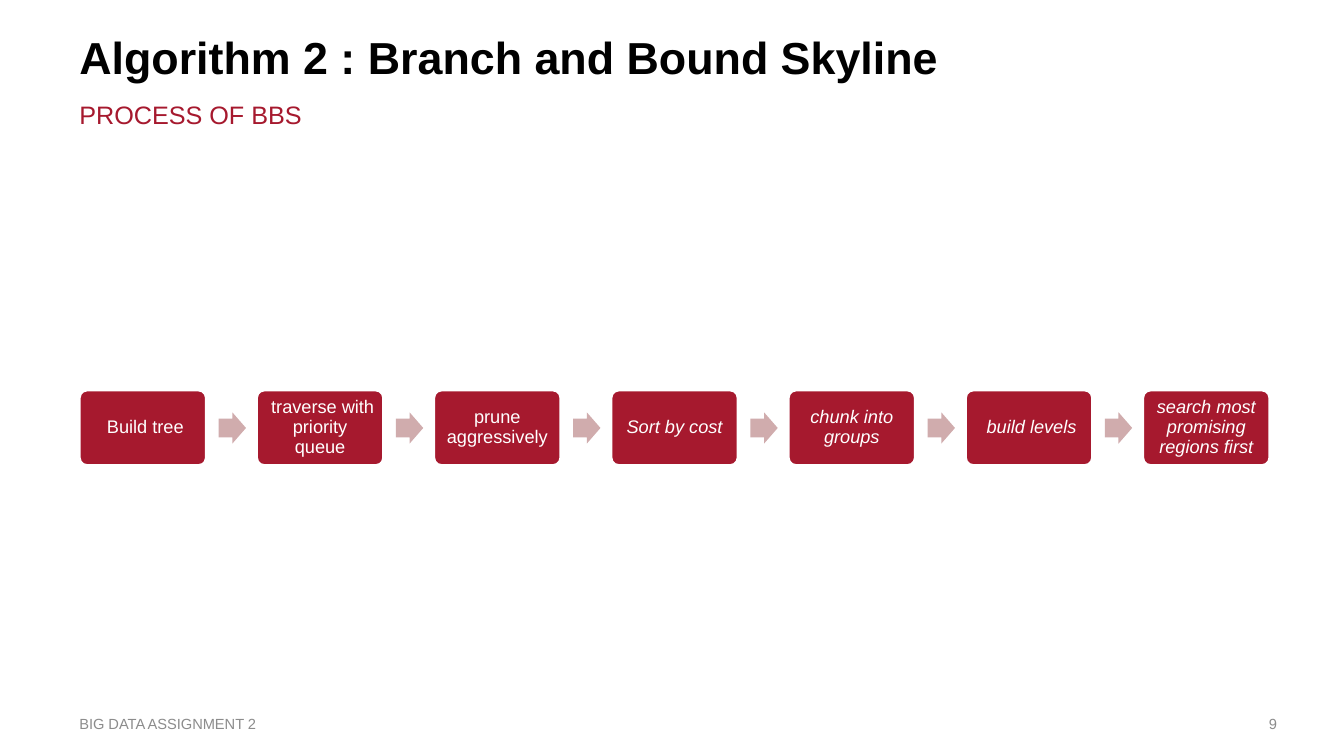
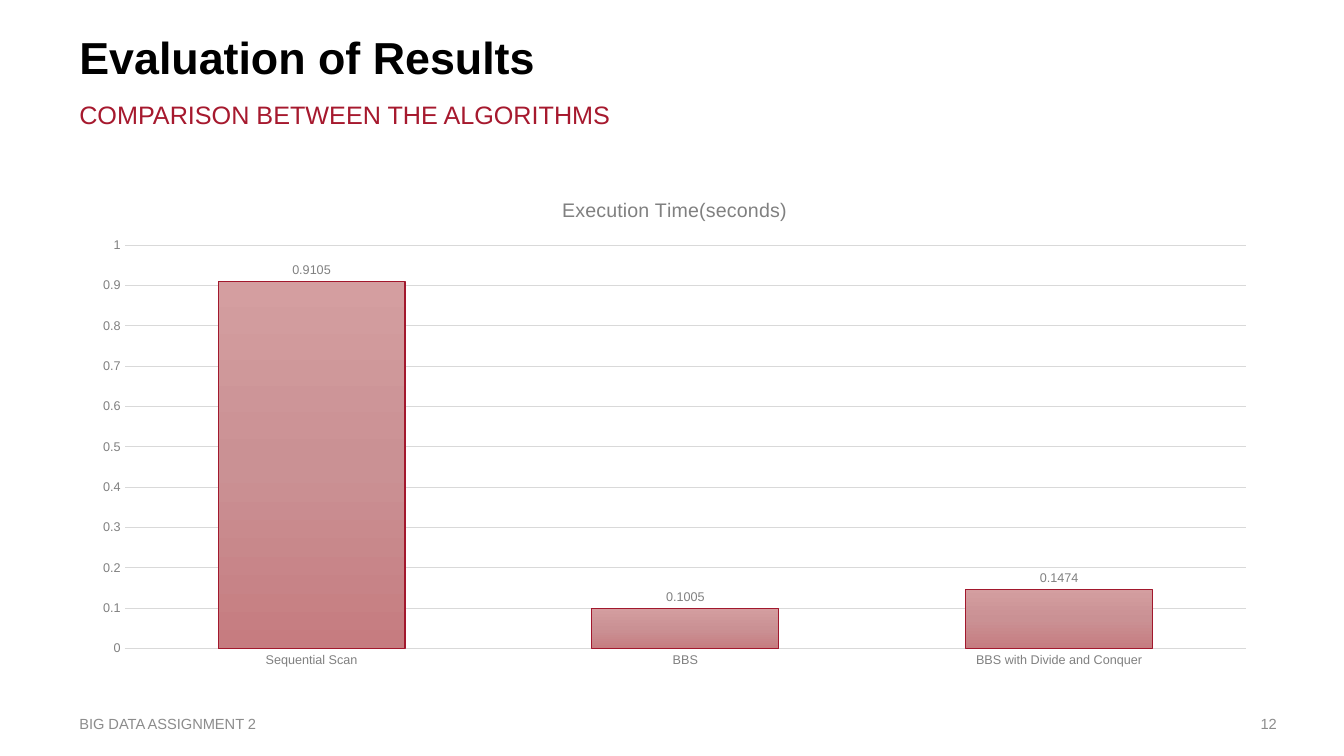
import copy
import pptx
import pptx.chart.data
import pptx.dml.color
import pptx.enum.chart
import pptx.enum.shapes
import pptx.enum.text
import pptx.util

Cm = pptx.util.Cm
Pt = pptx.util.Pt
ALIGN = pptx.enum.text.PP_ALIGN
ANCHOR = pptx.enum.text.MSO_ANCHOR
SHAPE = pptx.enum.shapes.MSO_SHAPE
CHART = pptx.enum.chart


def color(hex_value):
    return pptx.dml.color.RGBColor.from_string(hex_value)


def write(box, text, look, frame=None, paragraph=None):
    text_frame = box.text_frame
    text_frame.text = text
    margins = dict.fromkeys(["margin_left", "margin_top", "margin_right", "margin_bottom"], 0)
    base = {"word_wrap": True, "auto_size": pptx.enum.text.MSO_AUTO_SIZE.NONE, **margins}
    line = text_frame.paragraphs[0]
    font_values = {"name": "Arial", **look}
    line.font.color.rgb = color(font_values.pop("hex"))
    for target, values in (
        (text_frame, {**base, **(frame or {})}),
        (line, {"alignment": ALIGN.LEFT, **(paragraph or {})}),
        (line.font, font_values),
    ):
        for key, value in values.items():
            setattr(target, key, value)


CRIMSON, ROSE, WHITE, GRAY, GRID = "A6192E", "D0ACAD", "FFFFFF", "808080", "D9D9D9"
TITLE_LOOK = {"size": Pt(32), "bold": True, "hex": "000000"}
SUBTITLE_LOOK = {"size": Pt(18), "hex": CRIMSON}
FOOTER_LOOK = {"size": Pt(10.5), "hex": "8C8C8C"}
STEP_LOOK = {"size": Pt(13), "hex": WHITE}
MIDDLE = {"vertical_anchor": ANCHOR.MIDDLE}
LEFT = Cm(2)

deck = pptx.Presentation()
deck.slide_width = Cm(33.87)
deck.slide_height = Cm(19.05)

pages = []
for heading, subheading, number in (
    ("Algorithm 2 : Branch and Bound Skyline", "PROCESS OF BBS", "9"),
    ("Evaluation of Results", "COMPARISON BETWEEN THE ALGORITHMS", "12"),
):
    page = deck.slides.add_slide(deck.slide_layouts[5])
    title = page.shapes.title
    title.left, title.top, title.width, title.height = LEFT, Cm(0.76), Cm(23.5), Cm(1.8)
    write(title, heading, TITLE_LOOK, {"vertical_anchor": ANCHOR.TOP})
    subtitle = page.shapes.add_textbox(LEFT, Cm(2.51), Cm(23.72), Cm(1.32))
    write(subtitle, subheading, SUBTITLE_LOOK, paragraph={"space_before": Pt(3.6)})
    footer = page.shapes.add_textbox(LEFT, Cm(17.73), Cm(14.73), Cm(1.02))
    write(footer, "BIG DATA ASSIGNMENT 2", FOOTER_LOOK, MIDDLE)
    page_number = page.shapes.add_textbox(Cm(24.28), Cm(17.73), Cm(7.9), Cm(1.02))
    write(page_number, number, FOOTER_LOOK, MIDDLE, {"alignment": ALIGN.RIGHT})
    pages.append(page)

process_page, results_page = pages

steps = [
    (" Build tree", False),
    (" traverse with priority queue", False),
    ("prune aggressively", False),
    ("Sort by cost", True),
    ("chunk into groups", True),
    (" build levels", True),
    ("search most promising regions first", True),
]
step_pitch = Cm(26.8) / (len(steps) - 1)
step_margins = dict.fromkeys(["margin_left", "margin_top", "margin_right", "margin_bottom"], Cm(0.18))
for index, (label, italic) in enumerate(steps):
    step_left = int(LEFT + index * step_pitch)
    step = process_page.shapes.add_shape(SHAPE.ROUNDED_RECTANGLE, step_left, Cm(9.83), Cm(3.2), Cm(1.9))
    step.adjustments[0] = 0.1
    step.shadow.inherit = False
    step.fill.solid()
    step.fill.fore_color.rgb = color(CRIMSON)
    step.line.color.rgb = color(WHITE)
    step.line.width = Pt(2)
    write(step, label, {**STEP_LOOK, "italic": italic}, {**MIDDLE, **step_margins},
          {"alignment": ALIGN.CENTER, "line_spacing": 0.9})
    if index < len(steps) - 1:
        arrow = process_page.shapes.add_shape(
            SHAPE.RIGHT_ARROW, step_left + Cm(3.51), Cm(10.39), Cm(0.69), Cm(0.79))
        arrow.adjustments[0] = 0.6
        arrow.adjustments[1] = 0.5
        arrow.shadow.inherit = False
        arrow.fill.solid()
        arrow.fill.fore_color.rgb = color(ROSE)
        arrow.line.fill.background()

timings = pptx.chart.data.CategoryChartData()
timings.categories = ["Sequential Scan", "BBS", "BBS with Divide and Conquer"]
timings.add_series("Execution Time(seconds)", [0.9105, 0.1005, 0.1474])
chart = results_page.shapes.add_chart(
    CHART.XL_CHART_TYPE.COLUMN_CLUSTERED, LEFT, Cm(4.5), Cm(30), Cm(12.57), timings).chart
chart.has_legend = False
chart.has_title = True
chart.chart_title.include_in_layout = False
chart.chart_title.text_frame.text = "Execution Time(seconds)"

plot = chart.plots[0]
plot.has_data_labels = True
categories, seconds = chart.category_axis, chart.value_axis
for target, values in (
    (plot, {"gap_width": 100, "overlap": -24, "vary_by_categories": False}),
    (plot.data_labels, {"show_value": True, "position": CHART.XL_LABEL_POSITION.OUTSIDE_END}),
    (categories, {"major_tick_mark": CHART.XL_TICK_MARK.NONE}),
    (seconds, {"major_tick_mark": CHART.XL_TICK_MARK.NONE, "minimum_scale": 0,
               "maximum_scale": 1, "major_unit": 0.1, "has_major_gridlines": True}),
):
    for key, value in values.items():
        setattr(target, key, value)

for font, size in (
    (chart.font, 10),
    (chart.chart_title.text_frame.paragraphs[0].font, 14),
    (plot.data_labels.font, 9),
    (categories.tick_labels.font, 9),
    (seconds.tick_labels.font, 9),
):
    for key, value in {"name": "Arial", "size": Pt(size), "bold": False}.items():
        setattr(font, key, value)
    font.color.rgb = color(GRAY)

bars = plot.series[0]
bars.invert_if_negative = False
for line, line_hex in (
    (categories.format.line, GRID),
    (seconds.major_gridlines.format.line, GRID),
    (bars.format.line, "A2182D"),
):
    line.color.rgb = color(line_hex)
    line.width = Pt(0.75)
seconds.format.line.fill.background()

bar_fill = bars.format.fill
bar_fill.gradient()
bar_fill.gradient_angle = 270
stop_list = bars._element.xpath(".//a:gsLst")[0]
stop_list.insert(1, copy.deepcopy(stop_list[0]))
for stop, (position, stop_hex) in zip(
        bar_fill.gradient_stops, ((0, "D49EA0"), (0.5, "CA9194"), (1, "C67C80"))):
    stop.position = position
    stop.color.rgb = color(stop_hex)

deck.save("out.pptx")
